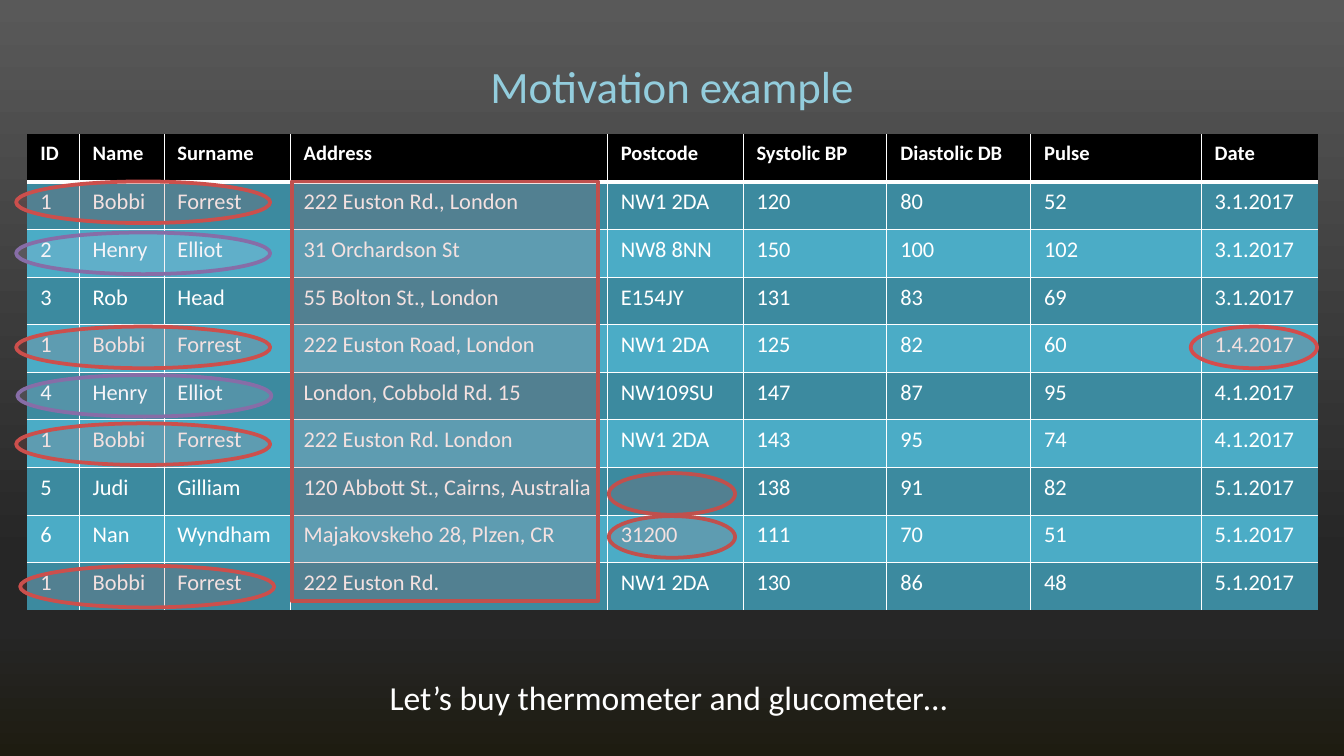
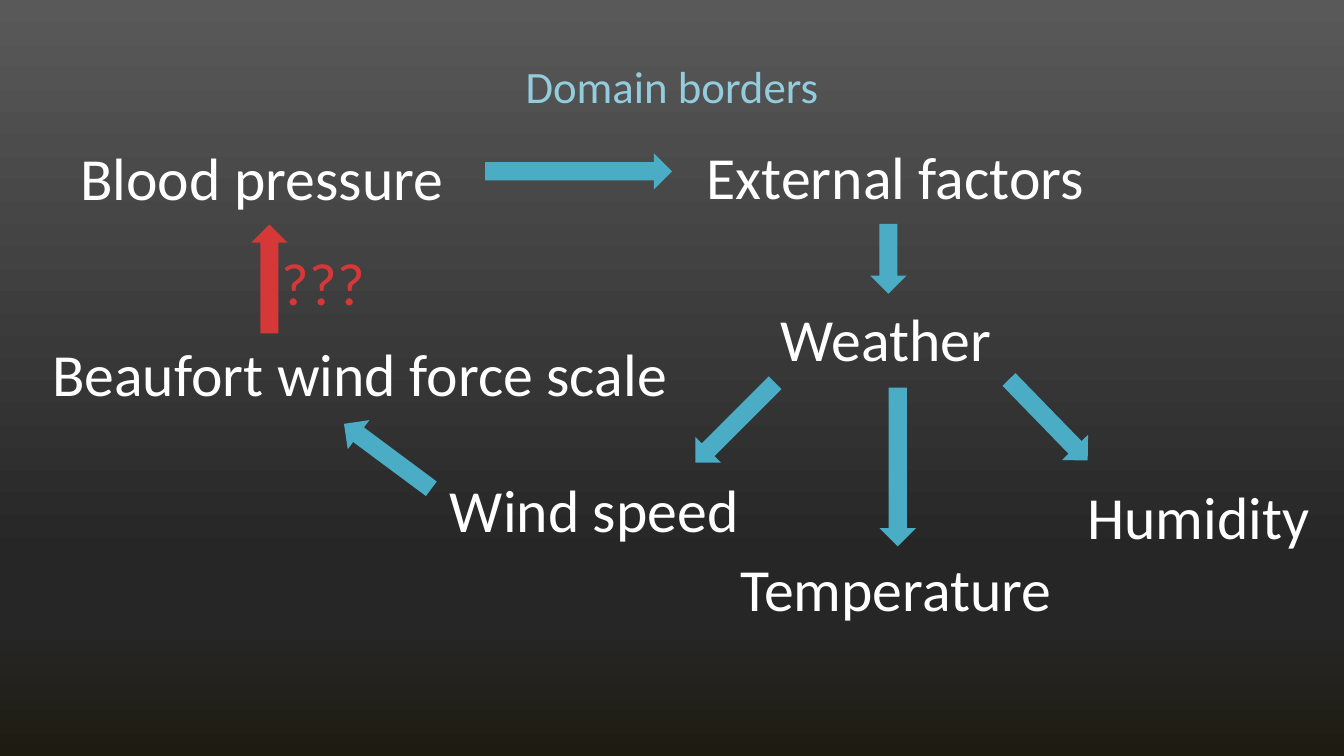
import pptx
import pptx.util
import pptx.dml.color
import pptx.enum.shapes
import pptx.enum.text
import pptx.oxml.ns
from lxml import etree

WIDTH = 10
HEIGHT = WIDTH * 9 / 16
FONT = "Calibri"
WHITE, BLACK = "FFFFFF", "000000"
TITLE_BLUE, TEAL, DARK_TEAL = "93CDDD", "4BACC6", "3C8A9F"
BRICK, LILAC, PURPLE, ALERT = "C0504D", "CCC1DA", "876DA7", "D63838"
BACKGROUND_STOPS = [(0, "595959"), (74, "262626"), (83, "262626"), (100, "1E1C11")]

TABLE_LEFT, TABLE_TOP, TABLE_HEIGHT = 0.2, 1, 3.54
COLUMN_WIDTHS = [0.39, 0.63, 0.94, 2.36, 1.01, 1.07, 1.07, 1.27, 0.87]
MEASUREMENTS = [
    ("ID", "Name", "Surname", "Address", "Postcode", "Systolic BP", "Diastolic DB", "Pulse", "Date"),
    ("1", "Bobbi", "Forrest", "222 Euston Rd., London", "NW1 2DA", "120", "80", "52", "3.1.2017"),
    ("2", "Henry", "Elliot", "31 Orchardson St", "NW8 8NN", "150", "100", "102", "3.1.2017"),
    ("3", "Rob", "Head", "55 Bolton St., London", "E154JY", "131", "83", "69", "3.1.2017"),
    ("1", "Bobbi", "Forrest", "222 Euston Road, London", "NW1 2DA", "125", "82", "60", "1.4.2017"),
    ("4", "Henry", "Elliot", "London, Cobbold Rd. 15", "NW109SU", "147", "87", "95", "4.1.2017"),
    ("1", "Bobbi", "Forrest", "222 Euston Rd. London", "NW1 2DA", "143", "95", "74", "4.1.2017"),
    ("5", "Judi", "Gilliam", "120 Abbott St., Cairns, Australia", "", "138", "91", "82", "5.1.2017"),
    ("6", "Nan", "Wyndham", "Majakovskeho 28, Plzen, CR", "31200", "111", "70", "51", "5.1.2017"),
    ("1", "Bobbi", "Forrest", "222 Euston Rd.", "NW1 2DA", "130", "86", "48", "5.1.2017"),
]

# Left, top, width, fill and line of each ring around suspicious values
RING_HEIGHT, PERSON_RING, VALUE_RING = 0.31, 1.89, 0.94
RINGS = [
    (0.12, 1.35, PERSON_RING, BRICK, "CC4F4C"),
    (0.12, 2.43, PERSON_RING, BRICK, "CC4F4C"),
    (0.12, 3.15, PERSON_RING, BRICK, "CC4F4C"),
    (0.15, 4.21, PERSON_RING, BRICK, "CC4F4C"),
    (4.53, 3.84, VALUE_RING, BRICK, BRICK),
    (4.53, 3.52, VALUE_RING, BRICK, BRICK),
    (8.86, 2.43, VALUE_RING, BRICK, "D44C4C"),
    (0.12, 1.73, PERSON_RING, LILAC, PURPLE),
    (0.13, 2.79, PERSON_RING, LILAC, PURPLE),
]

# Text, left, top, width, colour
CONCEPT_HEIGHT = 0.64
CONCEPTS = [
    ("Blood pressure", 0.5, 1, 3, WHITE),
    ("Weather", 5.71, 2.2, 1.79, WHITE),
    ("Temperature", 5.41, 4.06, 2.54, WHITE),
    ("Humidity", 7.99, 3.52, 1.88, WHITE),
    ("Wind speed", 3.25, 3.47, 2.37, WHITE),
    ("Beaufort wind force scale", 0.29, 2.46, 4.8, WHITE),
    ("External factors", 5.16, 0.99, 3.04, WHITE),
    ("???", 2, 1.78, 0.83, ALERT),
]

# Left, top, length, rotation, colour
ARROW_HEIGHT = 0.27
ARROWS = [
    (3.61, 1.14, 1.39, 0, TEAL),
    (6.35, 1.79, 0.52, 90, TEAL),
    (7.38, 2.99, 0.84, 45.8, TEAL),
    (2.48, 3.26, 0.81, 216.6, TEAL),
    (6.09, 3.34, 1.18, 90, TEAL),
    (5.05, 3.01, 0.84, 135, TEAL),
    (1.6, 1.94, 0.81, 270, ALERT),
]

SHAPES = pptx.enum.shapes.MSO_SHAPE
TEXT = pptx.enum.text
qn = pptx.oxml.ns.qn


def rgb(color):
    return pptx.dml.color.RGBColor.from_string(color)


def inches(*lengths):
    return [pptx.util.Inches(length) for length in lengths]


def write(frame, text, size=12, color=WHITE, bold=False, align=None):
    """Put one formatted line of text into a text frame."""
    para = frame.paragraphs[0]
    if align is not None:
        para.alignment = align
    if not text:
        etree.SubElement(para._p, qn("a:endParaRPr"), sz=str(size * 100))
        return
    span = para.add_run()
    span.text = text
    span.font.name = FONT
    span.font.size = pptx.util.Pt(size)
    span.font.bold = bold
    span.font.color.rgb = rgb(color)


def add_label(page, text, left, top, width, height, **style):
    """Add a text box that fits its single line."""
    box = page.shapes.add_textbox(*inches(left, top, width, height))
    box.text_frame.word_wrap = False
    box.text_frame.auto_size = TEXT.MSO_AUTO_SIZE.SHAPE_TO_FIT_TEXT
    write(box.text_frame, text, **style)


def add_shape(page, kind, left, top, width, height, fill, line=None, opacity=None, rotation=0):
    shape = page.shapes.add_shape(kind, *inches(left, top, width, height))
    shape.shadow.inherit = False
    shape.rotation = rotation
    shape.fill.solid()
    shape.fill.fore_color.rgb = rgb(fill)
    if opacity is not None:
        color = shape.element.spPr.find(qn("a:solidFill"))[0]
        etree.SubElement(color, qn("a:alpha"), val=str(opacity * 1000))
    if line:
        shape.line.color.rgb = rgb(line)
        shape.line.width = pptx.util.Pt(2)
    else:
        shape.line.fill.background()


def add_page(deck, title):
    """Add a slide with the shared background and title."""
    page = deck.slides.add_slide(deck.slide_layouts[6])
    fill = page.background.fill
    fill.gradient()
    fill.gradient_angle = 270
    stops = next(page.element.iter(qn("a:gsLst")))
    for stop in list(stops):
        stops.remove(stop)
    for position, color in BACKGROUND_STOPS:
        stop = etree.SubElement(stops, qn("a:gs"), pos=str(position * 1000))
        etree.SubElement(stop, qn("a:srgbClr"), val=color)
    box = page.shapes.add_textbox(*inches(0.5, 0.36, WIDTH - 1, 0.55))
    box.text_frame.word_wrap = True
    box.text_frame.vertical_anchor = TEXT.MSO_ANCHOR.MIDDLE
    write(box.text_frame, title, size=24, color=TITLE_BLUE, align=TEXT.PP_ALIGN.CENTER)
    return page


def add_border(cell, side, width):
    """Draw one white cell edge; a width of 0 hides it."""
    properties = cell._tc.get_or_add_tcPr()
    edge = etree.SubElement(properties, qn("a:ln" + side), w=str(pptx.util.Pt(width)))
    if width:
        paint = etree.SubElement(edge, qn("a:solidFill"))
        etree.SubElement(paint, qn("a:srgbClr"), val=WHITE)
    else:
        etree.SubElement(edge, qn("a:noFill"))


def add_measurements(page):
    rows, columns = len(MEASUREMENTS), len(COLUMN_WIDTHS)
    frame = page.shapes.add_table(
        rows, columns, *inches(TABLE_LEFT, TABLE_TOP, sum(COLUMN_WIDTHS), TABLE_HEIGHT))
    table = frame.table
    for column, width in zip(table.columns, COLUMN_WIDTHS):
        column.width = pptx.util.Inches(width)
    across = [0] + [0.5] * (columns - 1) + [0]
    down = [0, 2] + [0.5] * (rows - 2) + [0]
    for r, values in enumerate(MEASUREMENTS):
        table.rows[r].height = pptx.util.Inches(TABLE_HEIGHT / rows)
        header = r == 0
        color = BLACK if header else (TEAL, DARK_TEAL)[r % 2]
        for c, value in enumerate(values):
            cell = table.cell(r, c)
            edges = {"L": across[c], "R": across[c + 1], "T": down[r], "B": down[r + 1]}
            for side, width in edges.items():
                add_border(cell, side, width)
            cell.fill.solid()
            cell.fill.fore_color.rgb = rgb(color)
            write(cell.text_frame, value, size=11 if header else 12, bold=header)


def build_motivation(deck):
    page = add_page(deck, "Motivation example")
    add_measurements(page)
    add_shape(page, SHAPES.RECTANGLE, 2.17, 1.35, 2.28, 3.12, BRICK, line=BRICK, opacity=17)
    add_label(page, "Let’s buy thermometer and glucometer…", 2.8, 4.99, 4.39, 0.4, size=18)
    for left, top, width, fill, line in RINGS:
        add_shape(page, SHAPES.OVAL, left, top, width, RING_HEIGHT, fill, line=line, opacity=17)


def build_domain_borders(deck):
    page = add_page(deck, "Domain borders")
    for left, top, length, rotation, color in ARROWS:
        add_shape(page, SHAPES.RIGHT_ARROW, left, top, length, ARROW_HEIGHT, color, rotation=rotation)
    for text, left, top, width, color in CONCEPTS:
        add_label(page, text, left, top, width, CONCEPT_HEIGHT, size=32, color=color)


def main():
    deck = pptx.Presentation()
    deck.slide_width, deck.slide_height = inches(WIDTH, HEIGHT)
    build_motivation(deck)
    build_domain_borders(deck)
    deck.save("out.pptx")


if __name__ == "__main__":
    main()
